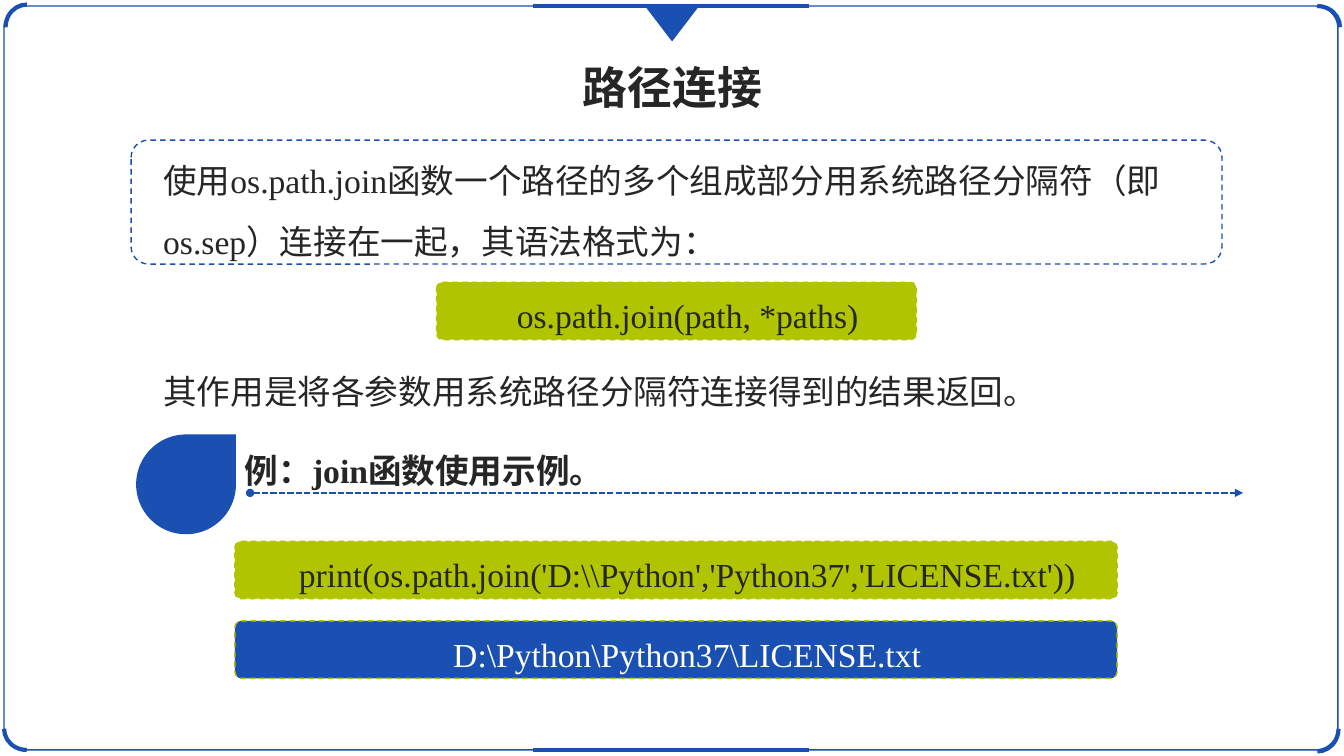
import dataclasses

import lxml.etree
import pptx
import pptx.dml.color
import pptx.enum.dml
import pptx.enum.shapes
import pptx.enum.text
import pptx.oxml.ns
import pptx.util

Inches = pptx.util.Inches
Pt = pptx.util.Pt
SHAPE = pptx.enum.shapes.MSO_SHAPE
DASH = pptx.enum.dml.MSO_LINE
ALIGN = pptx.enum.text.PP_ALIGN
qn = pptx.oxml.ns.qn


@dataclasses.dataclass(frozen=True)
class Theme:
    blue: str = "1950B2"
    green: str = "B1C400"
    ink: str = "262626"
    white: str = "FFFFFF"
    title_size: int = 32
    body_size: int = 24
    title_font: str = "Noto Sans CJK SC"
    body_font: str = "Times New Roman"
    cjk_font: str = "Noto Sans CJK SC"


THEME = Theme()


def rgb(value):
    return pptx.dml.color.RGBColor.from_string(value)


def set_line(line, color, width, dash=None):
    line.color.rgb = rgb(color)
    line.width = Pt(width)
    if dash:
        line.dash_style = dash


def add_shape(s, kind, box, fill=None, line=THEME.blue, width=1, dash=None,
              rotation=0, adj=None):
    sp = s.shapes.add_shape(kind, *map(Inches, box))
    sp.shadow.inherit = False
    sp.rotation = rotation
    if adj is not None:
        sp.adjustments[0] = adj
    if fill:
        sp.fill.solid()
        sp.fill.fore_color.rgb = rgb(fill)
    else:
        sp.fill.background()
    if line:
        set_line(sp.line, line, width, dash)
    else:
        sp.line.fill.background()
    return sp


def add_line(s, x1, y1, x2, y2, width, dash=None, head=None, tail=None):
    line = s.shapes.add_connector(pptx.enum.shapes.MSO_CONNECTOR.STRAIGHT,
                                  *map(Inches, (x1, y1, x2, y2)))
    set_line(line.line, THEME.blue, width, dash)
    spPr = line._element.spPr
    ln = spPr.find(qn("a:ln"))
    for tag, kind in (("a:headEnd", head), ("a:tailEnd", tail)):
        if kind:
            lxml.etree.SubElement(ln, qn(tag), type=kind)
    lxml.etree.SubElement(spPr, qn("a:effectLst"))


def add_text(s, text, box, sp=None, size=THEME.body_size, font=THEME.body_font,
             color=THEME.ink, bold=False, align=ALIGN.LEFT, spacing=1.5,
             wrap=True, code=False):
    x, y, w, h = map(Inches, box)
    sp = sp or s.shapes.add_textbox(x, y, w, h)
    sp.left, sp.top, sp.width, sp.height = x, y, w, h
    tf = sp.text_frame
    tf.word_wrap = wrap
    tf.auto_size = pptx.enum.text.MSO_AUTO_SIZE.SHAPE_TO_FIT_TEXT
    tf.vertical_anchor = pptx.enum.text.MSO_ANCHOR.TOP
    p = tf.paragraphs[0]
    if code:
        pPr = p._p.get_or_add_pPr()
        pPr.set("marL", "0")
        pPr.set("indent", str(Inches(0.22)))
        tabs = lxml.etree.SubElement(pPr, qn("a:tabLst"))
        for i in range(1, 9):
            lxml.etree.SubElement(tabs, qn("a:tab"), pos=str(Pt(45.8 * i)), algn="l")
    p.alignment = align
    p.line_spacing = spacing
    r = p.add_run()
    r.text = text
    r.font.size = Pt(size)
    r.font.name = font
    r.font.bold = bold
    r.font.color.rgb = rgb(color)
    ea = lxml.etree.SubElement(r._r.get_or_add_rPr(), qn("a:ea"))
    ea.set("typeface", THEME.cjk_font)


def add_frame(s, box):
    x, y, w, h = box
    add_shape(s, SHAPE.ROUNDED_RECTANGLE, box, adj=0.03)
    arc_w, arc_h = 0.45, 0.42
    right, bottom = x + w - arc_w + 0.02, y + h - arc_h
    corners = ((x, y, 270), (right, y, 0), (right, bottom, 90), (x, bottom, 180))
    for cx, cy, rotation in corners:
        add_shape(s, SHAPE.ARC, (cx, cy, arc_w, arc_h), width=3, rotation=rotation)
    mid = x + w / 2
    for edge in (y, y + h):
        add_line(s, mid - 1.37, edge, mid + 1.37, edge, 3)
    add_shape(s, SHAPE.ISOSCELES_TRIANGLE, (mid - 0.25, y, 0.52, 0.34),
              fill=THEME.blue, rotation=180)


def add_intro(s, box):
    x, y, w, h = box
    add_text(s, "使用os.path.join函数一个路径的多个组成部分用系统路径分隔符（即os.sep）"
             "连接在一起，其语法格式为：", (x + 0.22, y - 0.05, w - 0.44, 1.24))
    add_shape(s, SHAPE.ROUNDED_RECTANGLE, box, dash=DASH.DASH, adj=0.14)


def add_code(s, box, text, fill=THEME.green, color=THEME.ink, margin=1.03):
    x, y, w, h = box
    add_shape(s, SHAPE.ROUNDED_RECTANGLE, box, fill=fill, line=THEME.green,
              dash=DASH.DASH, adj=0.11)
    add_text(s, text, (x - margin, y - 0.12, w + 2 * margin, 0.63), color=color,
             align=ALIGN.CENTER, code=True)


def add_example_heading(s, box):
    x, y, w, h = box
    add_text(s, "例：join函数使用示例。", (x + 0.98, y - 0.1, w - 0.6, 0.64), bold=True)
    add_shape(s, SHAPE.TEAR, (x, y, h, h), fill=THEME.blue, line=None)
    add_line(s, x + 1.13, y + 0.58, x + w, y + 0.58, 1.5, DASH.SQUARE_DOT,
             head="oval", tail="triangle")


def build_slide(prs):
    s = prs.slides.add_slide(prs.slide_layouts[5])
    add_frame(s, (0.04, 0.06, 13.23, 7.38))
    add_text(s, "路径连接", (5.67, 0.54, 2, 0.64), sp=s.shapes.title,
             size=THEME.title_size, font=THEME.title_font, bold=True,
             align=ALIGN.CENTER, spacing=1.0, wrap=False)
    add_intro(s, (1.3, 1.39, 10.82, 1.23))
    add_code(s, (4.33, 2.8, 4.76, 0.57), "os.path.join(path, *paths)", margin=2)
    add_text(s, "其作用是将各参数用系统路径分隔符连接得到的结果返回。",
             (1.52, 3.43, 8.95, 0.64), wrap=False)
    add_example_heading(s, (1.35, 4.31, 10.98, 0.99))
    add_code(s, (2.33, 5.37, 8.75, 0.57),
             r"print(os.path.join('D:\\Python','Python37','LICENSE.txt'))")
    add_code(s, (2.33, 6.16, 8.75, 0.57), r"D:\Python\Python37\LICENSE.txt",
             fill=THEME.blue, color=THEME.white)


def main():
    prs = pptx.Presentation()
    prs.slide_width, prs.slide_height = Inches(13.33), Inches(7.5)
    build_slide(prs)
    prs.save("out.pptx")


if __name__ == "__main__":
    main()
